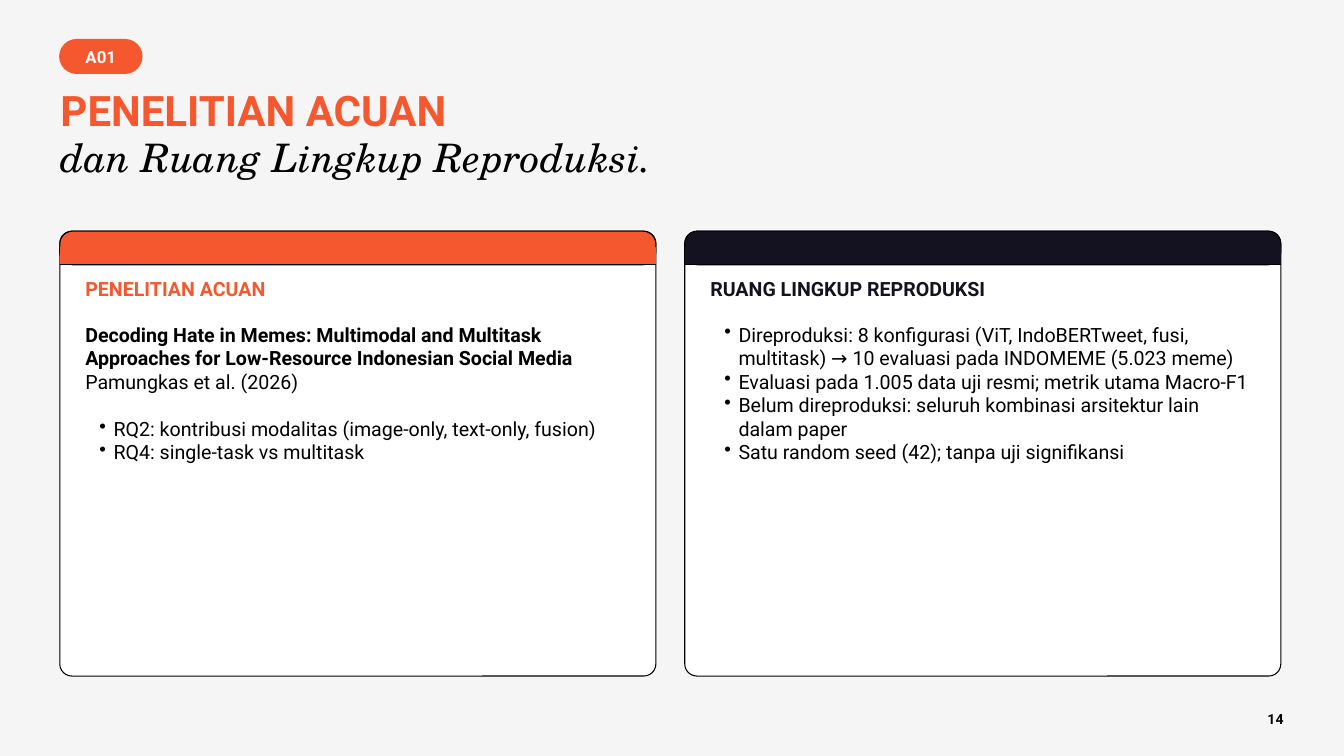
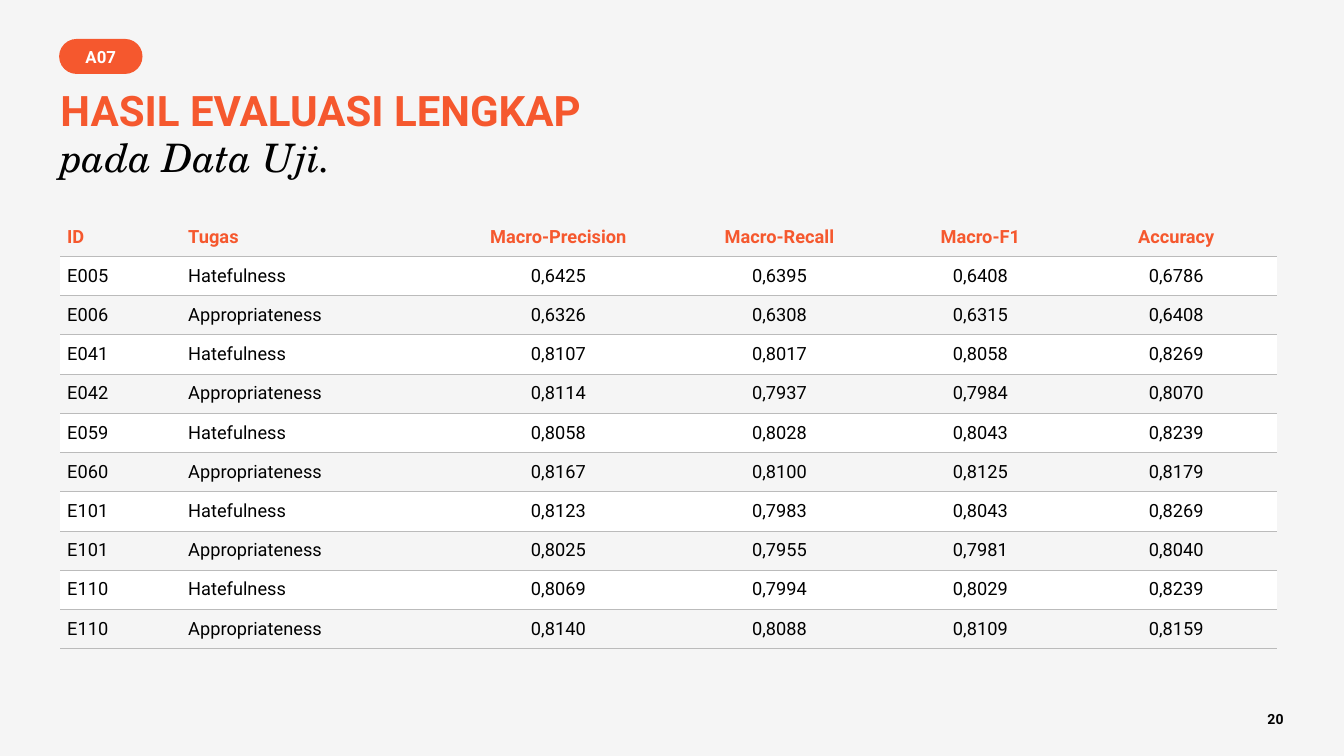
import pptx
import pptx.dml.color
import pptx.enum.shapes
import pptx.enum.text
import pptx.oxml
import pptx.oxml.ns
import pptx.util
from lxml import etree
from pptx.util import Inches

COLORS = {
    "background": "F5F5F5", "orange": "F5582E", "navy": "141221",
    "black": "000000", "white": "FFFFFF", "rule": "BBBBBB",
}
SANS, SERIF = "Roboto", "TeX Gyre Schola"
NO_GRID_STYLE = "{2D5ABB26-0587-4C30-8999-92F81FD0307C}"
ALIGN = pptx.enum.text.PP_ALIGN
ANCHOR = pptx.enum.text.MSO_ANCHOR
SHAPES = pptx.enum.shapes.MSO_SHAPE
LEFT = 0.9


def color(name):
    return pptx.dml.color.RGBColor.from_string(COLORS[name])


def line(text, size=21, ink="black", bold=False, **options):
    return dict(text=text, size=size, ink=ink, bold=bold, **options)


class Deck:
    """Holds the presentation style and draws elements on the current slide."""

    def __init__(self):
        self.presentation = pptx.Presentation()
        self.presentation.slide_width = Inches(20)
        self.presentation.slide_height = Inches(11.25)
        self.slide = None

    def start_slide(self, number, code, title, subtitle):
        self.slide = self.presentation.slides.add_slide(self.presentation.slide_layouts[6])
        fill = self.slide.background.fill
        fill.solid()
        fill.fore_color.rgb = color("background")
        self.text(17.85, 10.58, 1.25, 0.34,
                  [line(str(number), 15, bold=True, align=ALIGN.RIGHT)])
        self.box(SHAPES.ROUNDED_RECTANGLE, 0.89, 0.59, 1.22, 0.5, "orange", "orange", 1.5, 0.25)
        self.text(LEFT, 0.6, 1.2, 0.48,
                  [line(code, 18, "white", True, align=ALIGN.CENTER)], ANCHOR.MIDDLE)
        self.text(LEFT, 1.3, 18.15, 1.55, [
            line(title, 45, "orange", True, spacing=51.3),
            line(subtitle, 42, font=SERIF, italic=True, spacing=47.9),
        ])

    def box(self, kind, left, top, width, height, fill, outline, weight, radius=0):
        shape = self.slide.shapes.add_shape(
            kind, Inches(left), Inches(top), Inches(width), Inches(height))
        shape.shadow.inherit = False
        shape.fill.solid()
        shape.fill.fore_color.rgb = color(fill)
        shape.line.color.rgb = color(outline)
        shape.line.width = pptx.util.Pt(weight)
        if radius:
            shape.adjustments[0] = radius / min(width, height)

    def rule(self, left, top, width):
        connector = self.slide.shapes.add_connector(
            pptx.enum.shapes.MSO_CONNECTOR.STRAIGHT,
            Inches(left), Inches(top), Inches(left + width), Inches(top))
        connector.line.color.rgb = color("black")
        connector.line.width = pptx.util.Pt(0.75)
        etree.SubElement(connector._element.spPr, pptx.oxml.ns.qn("a:effectLst"))

    def text(self, left, top, width, height, lines, anchor=ANCHOR.TOP):
        frame = self.slide.shapes.add_textbox(
            Inches(left), Inches(top), Inches(width), Inches(height)).text_frame
        frame.word_wrap = True
        frame.vertical_anchor = anchor
        frame.margin_left = frame.margin_right = frame.margin_top = frame.margin_bottom = 0
        for index, content in enumerate(lines):
            paragraph = frame.add_paragraph() if index else frame.paragraphs[0]
            self.fill_paragraph(paragraph, **content)

    def fill_paragraph(self, paragraph, text, size, ink, bold, font=SANS, italic=False,
                       align=ALIGN.LEFT, spacing=None, before=0, bullet=False):
        paragraph.text = text
        paragraph.alignment = align
        paragraph.line_spacing = pptx.util.Pt(spacing or size * 1.2)
        if before:
            paragraph.space_before = pptx.util.Pt(before)
        if bullet:
            paragraph.level = 1
            properties = paragraph._p.get_or_add_pPr()
            properties.set("marL", str(Inches(0.42)))
            properties.set("indent", str(Inches(-0.21)))
            etree.SubElement(properties, pptx.oxml.ns.qn("a:buChar"), char="•")
        paragraph.font.name = font
        paragraph.font.size = pptx.util.Pt(size)
        paragraph.font.bold = bold
        paragraph.font.italic = italic
        paragraph.font.color.rgb = color(ink)

    def card(self, left, accent, heading, lines):
        top, width = 3.44, 8.87
        self.box(SHAPES.ROUNDED_RECTANGLE, left, top, width, 6.62, "white", "black", 1.13, 0.18)
        self.box(SHAPES.ROUNDED_RECTANGLE, left, top, width, 0.5, accent, "black", 1.13, 0.19)
        self.box(SHAPES.RECTANGLE, left + 0.01, top + 0.24, width - 0.02, 0.26,
                 accent, accent, 1.5)
        self.rule(left, top + 0.49, width)
        self.text(left + 0.38, 4.12, 8.1, 0.45, [line(heading, ink=accent, bold=True)])
        self.text(left + 0.38, 4.8, 8.1, 4.8, lines)

    def table(self, left, top, widths, row_height, rows):
        frame = self.slide.shapes.add_table(
            len(rows), len(widths), Inches(left), Inches(top),
            Inches(sum(widths)), Inches(row_height * len(rows)))
        table = frame.table
        table.first_row = table.horz_banding = False
        table._tbl.tblPr.find(pptx.oxml.ns.qn("a:tableStyleId")).text = NO_GRID_STYLE
        for column, width in zip(table.columns, widths):
            column.width = Inches(width)
        for row_index, values in enumerate(rows):
            table.rows[row_index].height = Inches(row_height)
            is_header = row_index == 0
            for column_index, value in enumerate(values):
                cell = table.cell(row_index, column_index)
                cell.vertical_anchor = ANCHOR.MIDDLE
                cell.margin_left = cell.margin_right = Inches(0.1)
                cell.margin_top = cell.margin_bottom = Inches(0.1)
                cell.fill.solid()
                cell.fill.fore_color.rgb = color("white" if row_index % 2 else "background")
                self.underline(cell)
                self.fill_paragraph(cell.text_frame.paragraphs[0], **line(
                    value, 19.5, "orange" if is_header else "black", is_header,
                    align=ALIGN.LEFT if column_index < 2 else ALIGN.CENTER))

    def underline(self, cell):
        border = pptx.oxml.parse_xml(
            f'<a:lnB {pptx.oxml.ns.nsdecls("a")} w="{pptx.util.Pt(0.5)}"><a:solidFill>'
            f'<a:srgbClr val="{COLORS["rule"]}"/></a:solidFill></a:lnB>')
        cell._tc.get_or_add_tcPr().insert(0, border)


def main():
    deck = Deck()

    deck.start_slide(14, "A01", "PENELITIAN ACUAN", "dan Ruang Lingkup Reproduksi.")
    deck.card(0.89, "orange", "PENELITIAN ACUAN", [
        line("Decoding Hate in Memes: Multimodal and Multitask Approaches for "
             "Low-Resource Indonesian Social Media", bold=True),
        line("Pamungkas et al. (2026)"),
        line("RQ2: kontribusi modalitas (image-only, text-only, fusion)",
             before=25.2, bullet=True),
        line("RQ4: single-task vs multitask", bullet=True),
    ])
    scope = [
        "Direproduksi: 8 konfigurasi (ViT, IndoBERTweet, fusi, multitask) → "
        "10 evaluasi pada INDOMEME (5.023 meme)",
        "Evaluasi pada 1.005 data uji resmi; metrik utama Macro-F1",
        "Belum direproduksi: seluruh kombinasi arsitektur lain dalam paper",
        "Satu random seed (42); tanpa uji signifikansi",
    ]
    deck.card(10.19, "navy", "RUANG LINGKUP REPRODUKSI",
              [line(item, bullet=True) for item in scope])

    deck.start_slide(20, "A07", "HASIL EVALUASI LENGKAP", "pada Data Uji.")
    header = ["ID", "Tugas", "Macro-Precision", "Macro-Recall", "Macro-F1", "Accuracy"]
    tasks = ["Hatefulness", "Appropriateness"]
    results = [
        ("E005", "0,6425", "0,6395", "0,6408", "0,6786"),
        ("E006", "0,6326", "0,6308", "0,6315", "0,6408"),
        ("E041", "0,8107", "0,8017", "0,8058", "0,8269"),
        ("E042", "0,8114", "0,7937", "0,7984", "0,8070"),
        ("E059", "0,8058", "0,8028", "0,8043", "0,8239"),
        ("E060", "0,8167", "0,8100", "0,8125", "0,8179"),
        ("E101", "0,8123", "0,7983", "0,8043", "0,8269"),
        ("E101", "0,8025", "0,7955", "0,7981", "0,8040"),
        ("E110", "0,8069", "0,7994", "0,8029", "0,8239"),
        ("E110", "0,8140", "0,8088", "0,8109", "0,8159"),
    ]
    rows = [[code, tasks[index % 2], *scores]
            for index, (code, *scores) in enumerate(results)]
    deck.table(LEFT, 3.23, [1.8, 3.89, 3.44, 3.14, 2.84, 2.99], 6.42 / 11, [header, *rows])

    deck.presentation.save("out.pptx")


if __name__ == "__main__":
    main()
